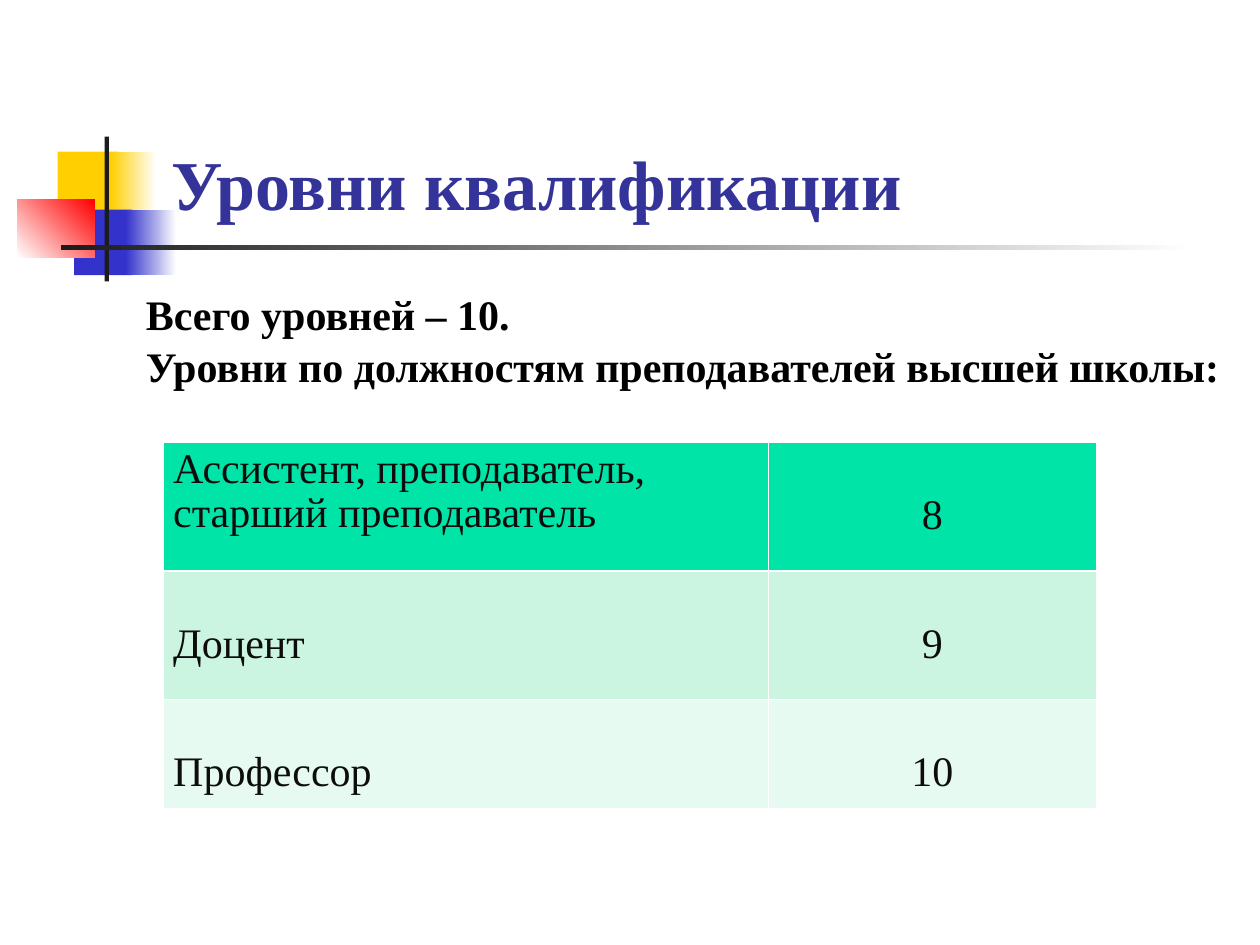
from lxml import etree
from pptx import Presentation
from pptx.dml.color import RGBColor
from pptx.enum.shapes import MSO_SHAPE
from pptx.enum.text import MSO_ANCHOR, PP_ALIGN
from pptx.oxml.ns import qn
from pptx.util import Pt

RECT = MSO_SHAPE.RECTANGLE
TOP, BOTTOM = MSO_ANCHOR.TOP, MSO_ANCHOR.BOTTOM
LEFT, CENTER = PP_ALIGN.LEFT, PP_ALIGN.CENTER
FONT = "Times New Roman"
COLORS = {
    "yellow": "FFCF01", "blue": "3333CC", "red": "FF0000", "dark": "1C1C1C",
    "white": "FFFFFF", "title": "333399", "body": "000000", "cell": "0D0D0D",
    "row1": "00E4A8", "row2": "CBF5E1", "row3": "E7FAF1",
}
ROWS = [
    ("Ассистент, преподаватель,\nстарший преподаватель", "8"),
    ("Доцент", "9"),
    ("Профессор", "10"),
]


def rgb(name):
    """Return the named colour."""
    return RGBColor.from_string(COLORS[name])


def format_text(tf, size, color, bold=False, align=LEFT):
    """Format every paragraph and run of a text frame."""
    for p in tf.paragraphs:
        p.alignment = align
        for r in p.runs:
            r.font.name = FONT
            r.font.size = Pt(size)
            r.font.bold = bold
            r.font.color.rgb = rgb(color)


def add_block(slide, box, start, end=None, angle=0):
    """Add a borderless rectangle with a solid or gradient fill."""
    sp = slide.shapes.add_shape(RECT, *map(Pt, box))
    sp.shadow.inherit = False
    sp.line.fill.background()
    if end is None:
        sp.fill.solid()
        sp.fill.fore_color.rgb = rgb(start)
        return
    sp.fill.gradient()
    sp.fill.gradient_angle = angle
    for stop, color in zip(sp.fill.gradient_stops, (start, end)):
        stop.color.rgb = rgb(color)


def add_ornament(slide, x, y):
    """Draw the coloured squares and the crossing rules."""
    blocks = [
        ((23, 8.6, 34.6, 37.4), "yellow"),
        ((53.2, 8.6, 26, 37.4), "yellow", "white"),
        ((32.4, 41.8, 33.1, 37.4), "blue"),
        ((62, 41.8, 28.8, 37.4), "blue", "white"),
        ((0, 36, 44, 33.1), "white", "red", 45),
        ((49.8, 0, 2.4, 82.8), "dark"),
        ((24.8, 62.2, 648, 2.4), "dark", "white"),
    ]
    for (left, top, width, height), *fill in blocks:
        add_block(slide, (x + left, y + top, width, height), *fill)


def add_text(slide, box, text, size, color, anchor):
    """Add a wrapped bold text box and return its frame."""
    tf = slide.shapes.add_textbox(*map(Pt, box)).text_frame
    tf.word_wrap = True
    tf.vertical_anchor = anchor
    tf.text = text
    format_text(tf, size, color, bold=True)
    return tf


def add_intro(slide, box):
    """Add the two introductory lines."""
    tf = add_text(slide, box, "Всего уровней – 10.\n"
                  "Уровни по должностям преподавателей высшей школы:",
                  24, "body", TOP)
    tf.margin_top = Pt(5.5)
    for p in tf.paragraphs:
        p.space_before = Pt(1)


def set_borders(cell, widths):
    """Give a cell white borders: left, right, top, bottom."""
    tc_pr = cell._tc.get_or_add_tcPr()
    for i, (side, width) in enumerate(zip("LRTB", widths)):
        ln = etree.Element(qn(f"a:ln{side}"), w=str(Pt(width)))
        fill = etree.SubElement(ln, qn("a:solidFill"))
        etree.SubElement(fill, qn("a:srgbClr"), val=COLORS["white"])
        tc_pr.insert(i, ln)


def add_levels(slide, box):
    """Add the table of posts and their levels."""
    x, y, width, height = box
    frame = slide.shapes.add_table(len(ROWS), 2, Pt(x), Pt(y), Pt(width), Pt(height))
    table = frame.table
    first_col, row_h, line_h = 345.6, 73.4, 26.3
    table.columns[0].width = Pt(first_col)
    table.columns[1].width = Pt(width - first_col)
    for i, row in enumerate(ROWS):
        table.rows[i].height = Pt(row_h if i < 2 else height - 2 * row_h)
        for j, text in enumerate(row):
            cell = table.cell(i, j)
            cell.text = text
            cell.fill.solid()
            cell.fill.fore_color.rgb = rgb(f"row{i + 1}")
            cell.margin_left = cell.margin_right = Pt(5.4)
            cell.margin_bottom = Pt(3.6)
            cell.margin_top = Pt(3.6 if "\n" in text else 3.6 + line_h)
            format_text(cell.text_frame, 24, "cell", align=CENTER if j else LEFT)
            for p in cell.text_frame.paragraphs:
                p.line_spacing = 0.95
            set_borders(cell, (0.45, 0.45, 1.47 if i == 1 else 0.45,
                               1.47 if i == 0 else 0.45))


def main():
    """Build the slide and save it."""
    prs = Presentation()
    prs.slide_width, prs.slide_height = Pt(720), Pt(540)
    slide = prs.slides.add_slide(prs.slide_layouts[6])
    add_ornament(slide, 10, 78)
    add_intro(slide, (76.3, 159.1, 628.6, 324))
    add_text(slide, (90.7, 16.6, 613.4, 115.2), "Уровни квалификации",
             40, "title", BOTTOM)
    add_levels(slide, (93.6, 252.7, 532.8, 209.5))
    prs.save("out.pptx")


if __name__ == "__main__":
    main()
